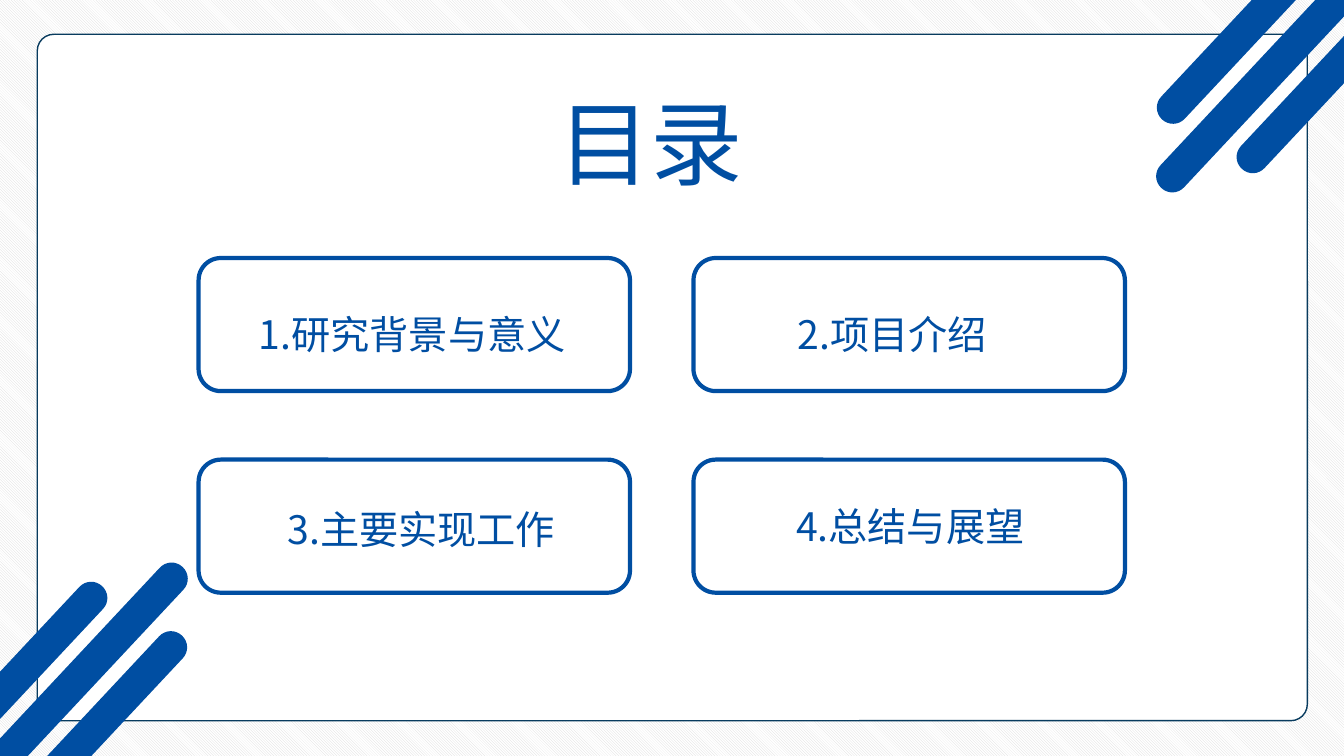
from lxml import etree
from pptx import Presentation
from pptx import util as u
from pptx.dml.color import RGBColor
from pptx.enum import dml, shapes, text
from pptx.oxml.ns import qn

BLUE = "004EA2"
WIDE, HIGH = 40 / 3, 7.5
THICK, TILT = 0.32, 43.1
STRIPES = [
    (11.99, -0.39, 1.82, [(0, 0.3), (THICK, 0)]),
    (12.26, -0.41, 2.63, [(0, 0.18), (0.2, 0), (THICK, 0.12)]),
    (12.73, 0.23, 1.67, [(0, 0), (THICK, 0.34)]),
]
LABELS = [
    ("1.研究背景与意义", 2.37, 3.03, 3.44),
    ("2.项目介绍", 7.21, 3.03, 3.28),
    ("3.主要实现工作", 2.37, 4.96, 3.62),
    ("4.总结与展望", 7.39, 4.93, 3.28),
]


def color(code):
    """Turn a hex string into a colour."""
    return RGBColor.from_string(code)


def back(slide):
    """Fill the background with light diagonal hatching."""
    fill = slide.background.fill
    fill.patterned()
    fill.pattern = dml.MSO_PATTERN.LIGHT_DOWNWARD_DIAGONAL
    fill.fore_color.rgb = color("D9D9D9")
    fill.back_color.rgb = color("FFFFFF")


def frame(slide, x, y, w, h, line, width, round_by, fill=None):
    """Draw an outlined box with rounded corners."""
    box = slide.shapes.add_shape(
        shapes.MSO_SHAPE.ROUNDED_RECTANGLE,
        u.Inches(x), u.Inches(y), u.Inches(w), u.Inches(h))
    box.adjustments[0] = round_by
    box.shadow.inherit = False
    if fill:
        box.fill.solid()
        box.fill.fore_color.rgb = color(fill)
    else:
        box.fill.background()
    box.line.color.rgb = color(line)
    box.line.width = u.Pt(width)


def bend(line, points):
    """Replace a straight path segment with a curve."""
    curve = etree.Element(qn("a:cubicBezTo"))
    for x, y in points:
        spot = etree.SubElement(curve, qn("a:pt"))
        spot.set("x", str(u.Inches(x)))
        spot.set("y", str(u.Inches(y)))
    line.getparent().replace(line, curve)


def stripe(slide, x, y, h, top, turn):
    """Draw a tilted stripe with a cut top and a round foot."""
    foot = [(THICK, h - 0.16), (0.16, h), (0, h - 0.16)]
    points = [(u.Inches(a), u.Inches(b)) for a, b in top + foot]
    form = slide.shapes.build_freeform(*points[0])
    form.add_line_segments(points[1:], close=True)
    bar = form.convert_to_shape(u.Inches(x), u.Inches(y))
    right, left = list(bar._element.iter(qn("a:lnTo")))[-2:]
    bend(right, [(THICK, h - 0.07), (0.25, h), foot[1]])
    bend(left, [(0.07, h), (0, h - 0.07), foot[2]])
    bar.rotation = turn
    bar.shadow.inherit = False
    bar.fill.solid()
    bar.fill.fore_color.rgb = color(BLUE)
    bar.line.fill.background()


def label(slide, words, x, y, w, h, size, face, align):
    """Place one line of blue text."""
    box = slide.shapes.add_textbox(
        u.Inches(x), u.Inches(y), u.Inches(w), u.Inches(h))
    box.text_frame.word_wrap = True
    box.text_frame.auto_size = text.MSO_AUTO_SIZE.SHAPE_TO_FIT_TEXT
    para = box.text_frame.paragraphs[0]
    para.alignment = align
    run = para.add_run()
    run.text = words
    run.font.size = u.Pt(size)
    run.font.color.rgb = color(BLUE)
    run.font.name = face
    props = run.font._element
    etree.SubElement(props, qn("a:ea")).set("typeface", face)


def main():
    """Build the contents slide."""
    deck = Presentation()
    deck.slide_width, deck.slide_height = u.Inches(WIDE), u.Inches(HIGH)
    slide = deck.slides.add_slide(deck.slide_layouts[6])
    back(slide)
    frame(slide, 0.37, 0.34, 12.6, 6.81, "083B5E", 1, 0.024, "FFFFFF")
    for x, y, h, top in STRIPES:
        stripe(slide, x, y, h, top, TILT)
    for x, y, h, top in STRIPES:
        stripe(slide, WIDE - x - THICK, HIGH - 0.01 - y - h, h, top, TILT + 180)
    label(slide, "目录", 5.44, 0.81, 2.17, 1.21, 66,
          "Noto Sans CJK JP", text.PP_ALIGN.JUSTIFY)
    for y in (2.56, 4.56):
        for x in (1.97, 6.88):
            frame(slide, x, y, 4.28, 1.32, BLUE, 3, 0.167)
    for words, x, y, w in LABELS:
        label(slide, words, x, y, w, 0.57, 28,
              "Noto Sans CJK SC", text.PP_ALIGN.CENTER)
    deck.save("out.pptx")


if __name__ == "__main__":
    main()
